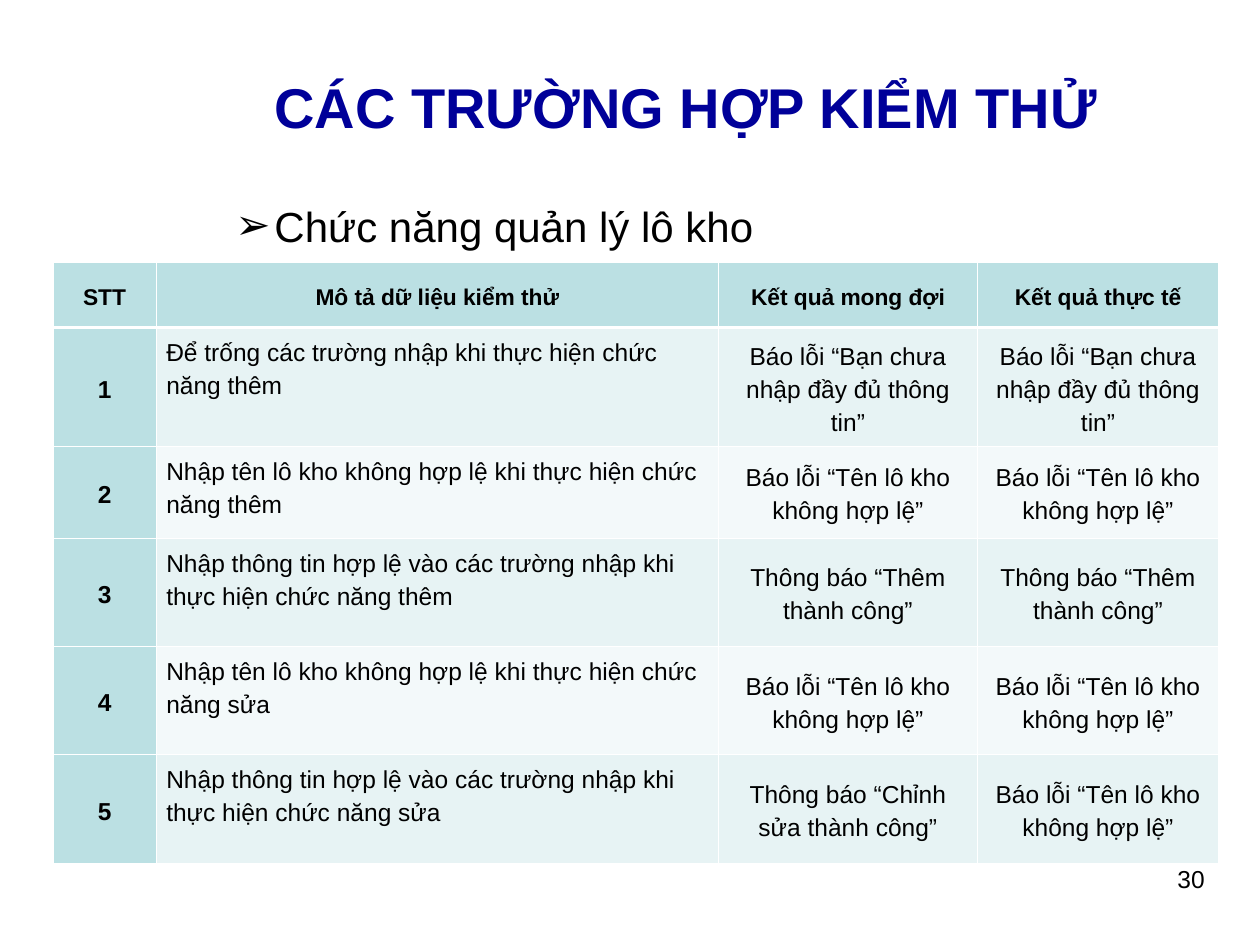
from dataclasses import dataclass

from lxml import etree
from pptx import Presentation
from pptx.dml.color import RGBColor
from pptx.enum import text
from pptx.oxml import ns
from pptx.util import Inches, Pt


@dataclass(frozen=True)
class Theme:
    font: str = "Arial"
    title: str = "000099"
    ink: str = "000000"
    border: str = "FFFFFF"
    header_fill: str = "BBE0E3"
    odd_fill: str = "E7F3F4"
    even_fill: str = "F3F9FA"
    title_size: float = 32
    subtitle_size: float = 24
    body_size: float = 14
    header_size: float = 13
    thin_line: float = 0.45
    thick_line: float = 1.47


@dataclass(frozen=True)
class TestCase:
    description: str
    expected: str
    actual: str


@dataclass(frozen=True)
class TextStyle:
    size: float
    color: str = "000000"
    bold: bool = False
    align: text.PP_ALIGN = text.PP_ALIGN.LEFT
    anchor: text.MSO_ANCHOR = text.MSO_ANCHOR.TOP


THEME = Theme()
COLUMN_WIDTHS = (0.82, 4.46, 2.06, 1.91)
ROW_HEIGHTS = (0.52, 0.86, 0.73, 0.86, 0.86, 0.86)
HEADINGS = ("STT", "Mô tả dữ liệu kiểm thử", "Kết quả mong đợi", "Kết quả thực tế")
MISSING = "Báo lỗi “Bạn chưa nhập đầy đủ thông tin”"
INVALID_NAME = "Báo lỗi “Tên lô kho không hợp lệ”"
ADDED = "Thông báo “Thêm thành công”"
CASES = (
    TestCase("Để trống các trường nhập khi thực hiện chức năng thêm", MISSING, MISSING),
    TestCase("Nhập tên lô kho không hợp lệ khi thực hiện chức năng thêm",
             INVALID_NAME, INVALID_NAME),
    TestCase("Nhập thông tin hợp lệ vào các trường nhập khi thực hiện chức năng thêm",
             ADDED, ADDED),
    TestCase("Nhập tên lô kho không hợp lệ khi thực hiện chức năng sửa",
             INVALID_NAME, INVALID_NAME),
    TestCase("Nhập thông tin hợp lệ vào các trường nhập khi thực hiện chức năng sửa",
             "Thông báo “Chỉnh sửa thành công”", INVALID_NAME),
)


def write(frame, words: str, style: TextStyle):
    """Fill a text frame with one styled paragraph and return it."""
    frame.text = words
    paragraph = frame.paragraphs[0]
    paragraph.alignment = style.align
    font = paragraph.runs[0].font
    font.name, font.size, font.bold = THEME.font, Pt(style.size), style.bold
    font.color.rgb = RGBColor.from_string(style.color)
    return paragraph


def add_text(page, left: float, top: float, width: float, height: float,
             words: str, style: TextStyle, wrap: bool = True):
    box = page.shapes.add_textbox(Inches(left), Inches(top), Inches(width), Inches(height))
    box.text_frame.word_wrap = wrap
    box.text_frame.vertical_anchor = style.anchor
    return write(box.text_frame, words, style)


def add_bullet(paragraph, symbol: str, indent: float) -> None:
    properties = paragraph._p.get_or_add_pPr()
    properties.set("marL", str(Inches(indent)))
    properties.set("indent", str(-Inches(indent)))
    color = etree.SubElement(properties, ns.qn("a:buClr"))
    etree.SubElement(color, ns.qn("a:srgbClr"), val=THEME.ink)
    etree.SubElement(properties, ns.qn("a:buFont"), typeface=THEME.font)
    etree.SubElement(properties, ns.qn("a:buChar"), char=symbol)


def set_borders(cell, top: float, bottom: float) -> None:
    widths = {"lnL": THEME.thin_line, "lnR": THEME.thin_line, "lnT": top, "lnB": bottom}
    properties = cell._tc.get_or_add_tcPr()
    for position, (side, width) in enumerate(widths.items()):
        line = etree.Element(ns.qn(f"a:{side}"), w=str(Pt(width)))
        fill = etree.SubElement(line, ns.qn("a:solidFill"))
        etree.SubElement(fill, ns.qn("a:srgbClr"), val=THEME.border)
        properties.insert(position, line)


def fill_cell(cell, words: str, row: int, column: int) -> None:
    header, number, description = row == 0, column == 0, row > 0 and column == 1
    style = TextStyle(
        THEME.header_size if header else THEME.body_size, THEME.ink, header or number,
        text.PP_ALIGN.LEFT if description else text.PP_ALIGN.CENTER,
        text.MSO_ANCHOR.TOP if description else text.MSO_ANCHOR.MIDDLE)
    paragraph = write(cell.text_frame, words, style)
    paragraph.line_spacing, paragraph.space_before = 1.2, Pt(6)
    cell.vertical_anchor = style.anchor
    cell.margin_left = cell.margin_right = Inches(0.08)
    cell.margin_top = cell.margin_bottom = Inches(0.05)

    band = THEME.odd_fill if row % 2 else THEME.even_fill
    cell.fill.solid()
    cell.fill.fore_color.rgb = RGBColor.from_string(
        THEME.header_fill if header or number else band)
    set_borders(cell, THEME.thick_line if row == 1 else THEME.thin_line,
                THEME.thick_line if header else THEME.thin_line)


def add_case_table(page, left: float, top: float) -> None:
    rows = [HEADINGS] + [(str(number), case.description, case.expected, case.actual)
                         for number, case in enumerate(CASES, 1)]
    table = page.shapes.add_table(
        len(rows), len(HEADINGS), Inches(left), Inches(top),
        Inches(sum(COLUMN_WIDTHS)), Inches(sum(ROW_HEIGHTS))).table
    for column, width in zip(table.columns, COLUMN_WIDTHS):
        column.width = Inches(width)
    for row, height in zip(table.rows, ROW_HEIGHTS):
        row.height = Inches(height)
    for row, values in enumerate(rows):
        for column, words in enumerate(values):
            fill_cell(table.cell(row, column), words, row, column)


def main() -> None:
    deck = Presentation()
    deck.slide_width, deck.slide_height = Inches(10), Inches(7.5)
    page = deck.slides.add_slide(deck.slide_layouts[6])

    # Title
    add_text(page, 2.08, 0.33, 7.75, 1.03, "CÁC TRƯỜNG HỢP KIỂM THỬ",
             TextStyle(THEME.title_size, THEME.title, True, anchor=text.MSO_ANCHOR.MIDDLE))

    # Test cases
    add_case_table(page, 0.42, 2.08)

    # Page number
    add_text(page, 7.33, 6.81, 2.33, 0.61, "30",
             TextStyle(THEME.body_size, THEME.ink, align=text.PP_ALIGN.RIGHT))

    # Bulleted subtitle
    subtitle = add_text(page, 1.77, 1.54, 4.31, 0.5, "Chức năng quản lý lô kho",
                        TextStyle(THEME.subtitle_size, THEME.ink), wrap=False)
    add_bullet(subtitle, "➢", 0.31)

    deck.save("out.pptx")


if __name__ == "__main__":
    main()
